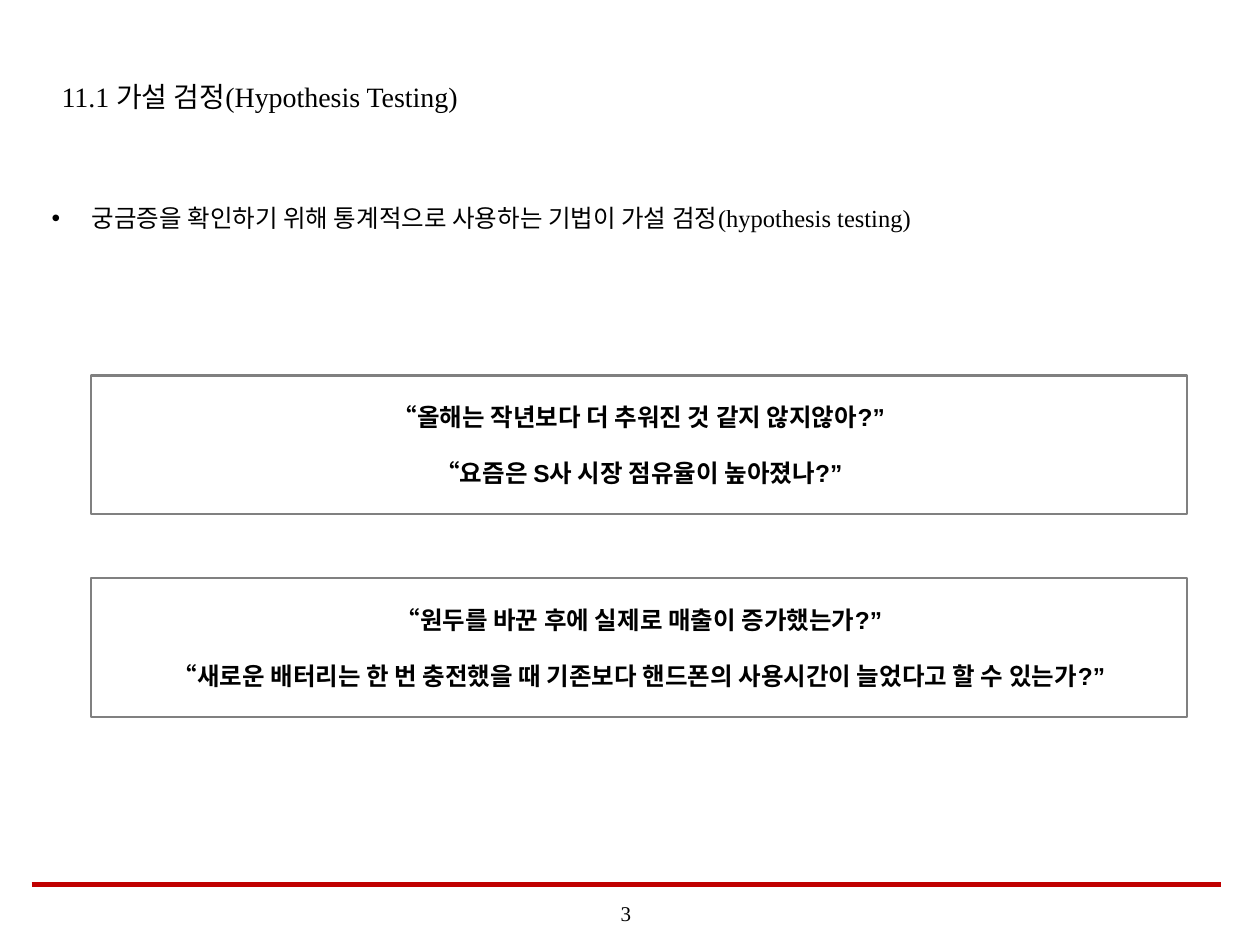
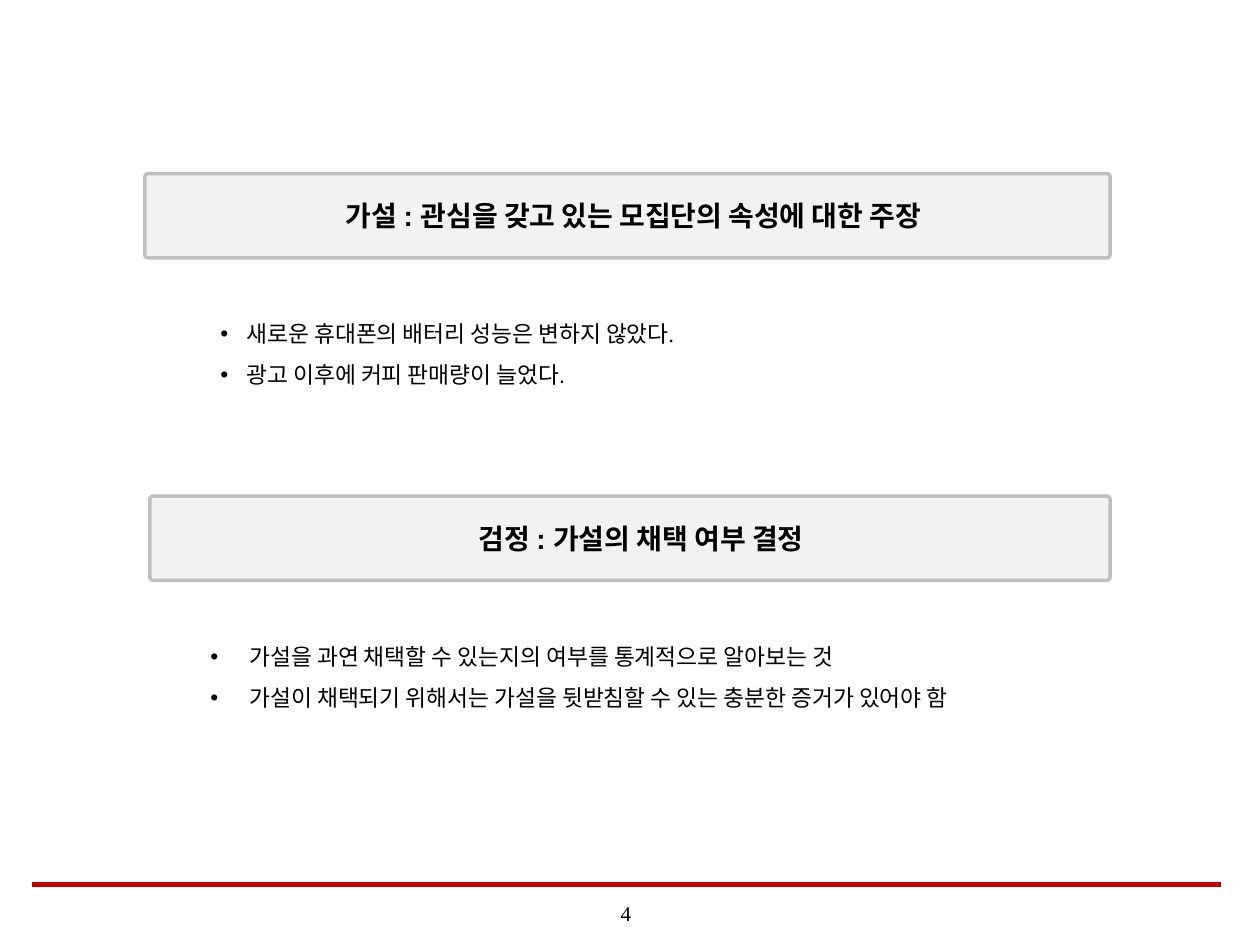
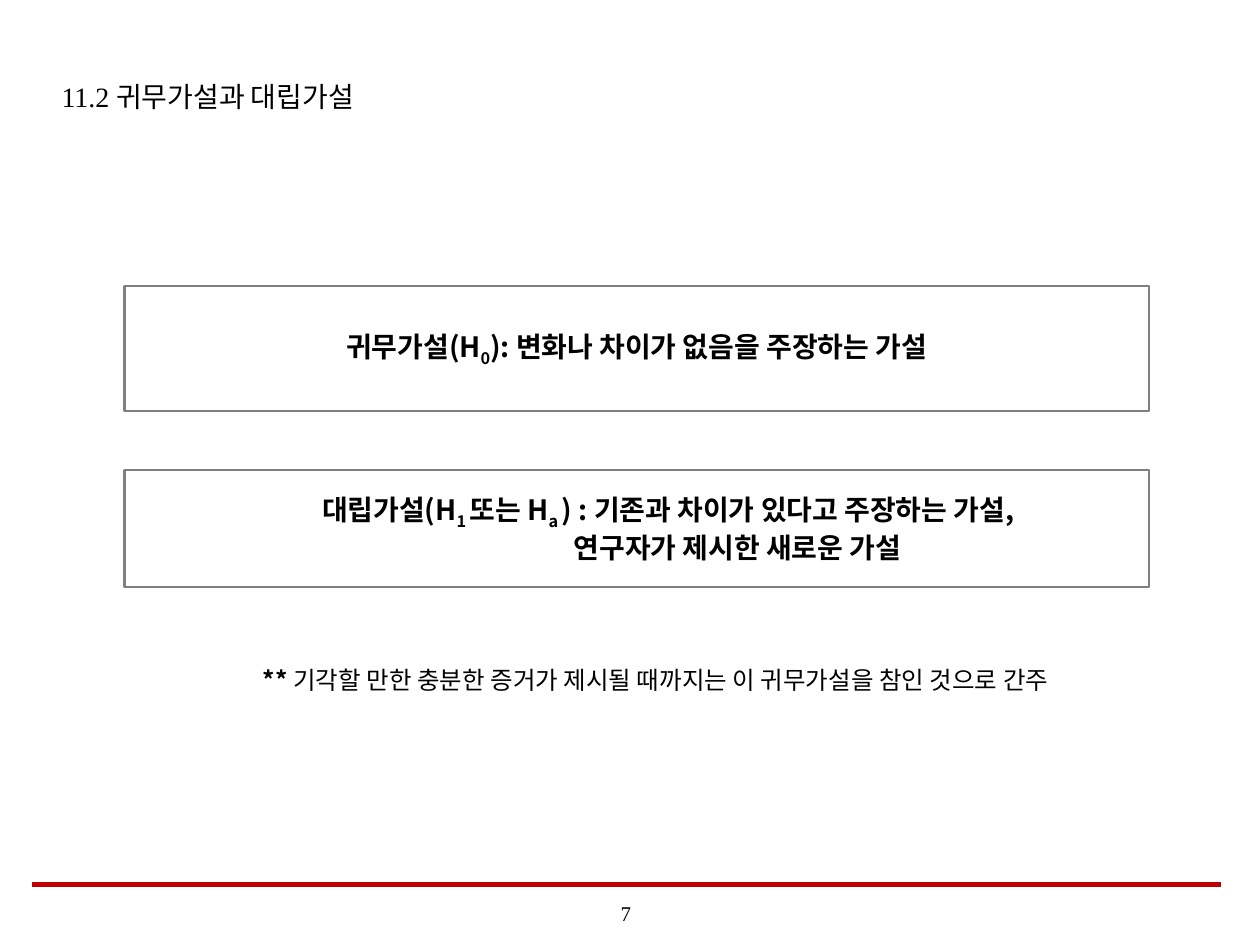
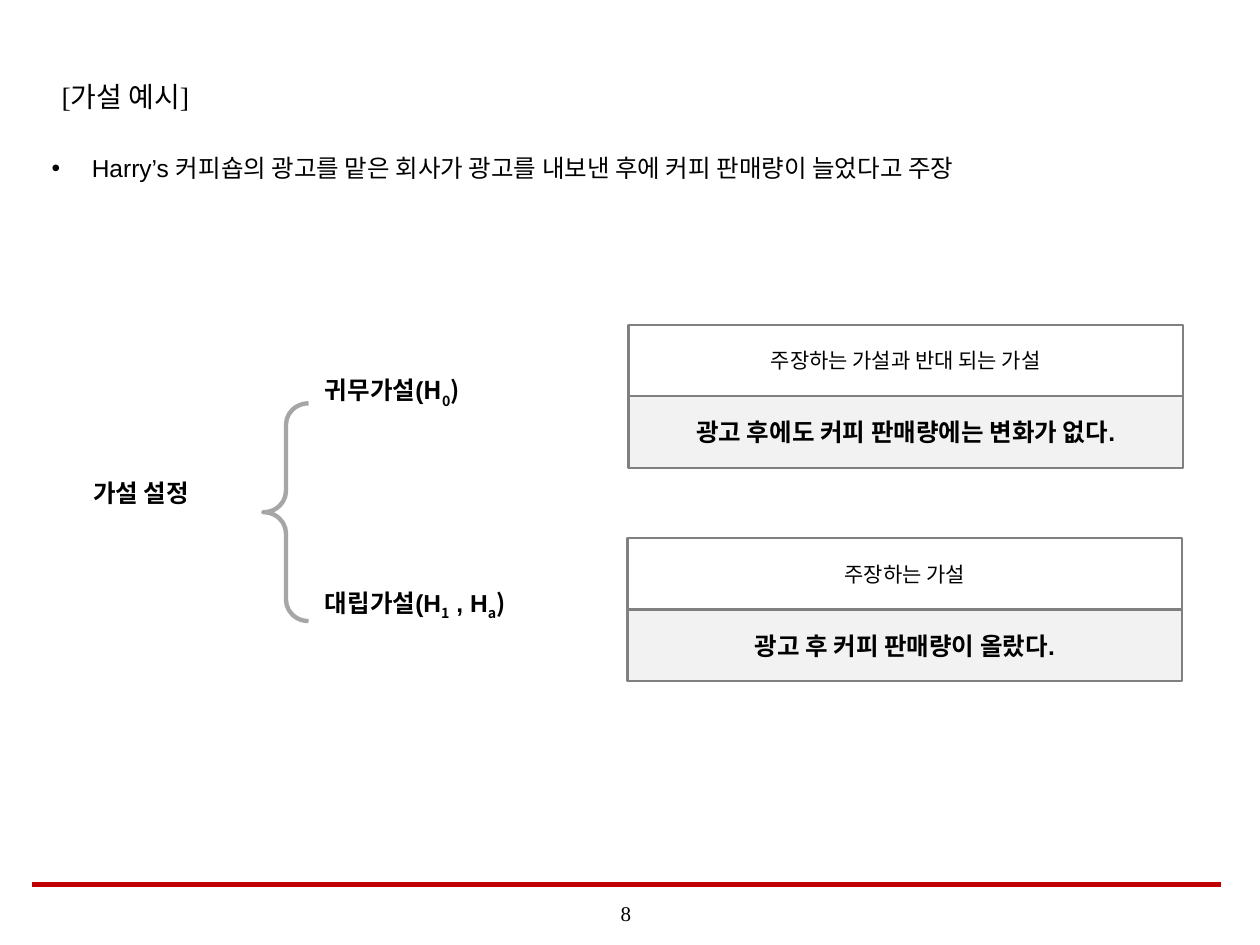
from dataclasses import dataclass
from typing import Optional, Sequence, Union

from lxml.etree import SubElement
from pptx import Presentation
from pptx.dml.color import RGBColor
from pptx.enum.shapes import MSO_CONNECTOR as Connector
from pptx.enum.shapes import MSO_SHAPE as Shape
from pptx.enum.text import MSO_ANCHOR as Anchor
from pptx.enum.text import MSO_AUTO_SIZE as AutoSize
from pptx.enum.text import PP_ALIGN as Align
from pptx.oxml.ns import qn
from pptx.util import Cm, Pt

ARIAL, TIMES, NOTO = "Arial", "Times New Roman", "Noto Sans CJK KR"
BLACK, WHITE, RED = "000000", "FFFFFF", "C00000"
PALE, SILVER, BRACE_GRAY, BORDER = "F2F2F2", "BFBFBF", "A6A6A6", "808080"
TITLE_AND_BODY, TITLE_ONLY = 1, 5


@dataclass(frozen=True)
class Area:
    left: float
    top: float
    width: float
    height: float

    def lengths(self) -> tuple:
        return Cm(self.left), Cm(self.top), Cm(self.width), Cm(self.height)


@dataclass(frozen=True)
class Run:
    text: str
    font: Optional[str] = None
    bold: Optional[bool] = None
    sub: bool = False


@dataclass(frozen=True)
class Line:
    runs: Sequence[Union[str, Run]]
    indent: float = 0


@dataclass(frozen=True)
class Card:
    area: Area
    lines: Sequence[Union[str, Line]]
    size: float = 14
    font: str = ARIAL
    bold: bool = True
    fill: str = WHITE
    border: str = BORDER
    weight: float = 1.25
    kind: Shape = Shape.RECTANGLE
    gap: float = 0


TITLE_AREA = Area(0.99, 1.24, 19.18, 1.27)
NUMBER_AREA = Area(9.98, 17.98, 5.28, 0.84)


def paint(color_format, color: str) -> None:
    color_format.rgb = RGBColor.from_string(color)


def write_text(frame, lines: Sequence[Union[str, Line]], *, size: float,
               font: str = ARIAL, bold: bool = False, align: Align = Align.LEFT,
               anchor: Anchor = Anchor.TOP, spacing: float = 1, gap: float = 0,
               hang: float = 0, indent: float = 0,
               margins: tuple = (0.25, 0.13)) -> None:
    frame.word_wrap = True
    frame.auto_size = AutoSize.NONE
    frame.vertical_anchor = anchor
    frame.margin_left = frame.margin_right = Cm(margins[0])
    frame.margin_top = frame.margin_bottom = Cm(margins[1])
    for index, entry in enumerate(lines):
        line = Line([entry]) if isinstance(entry, str) else entry
        paragraph = frame.add_paragraph() if index else frame.paragraphs[0]
        paragraph.alignment = align
        paragraph.line_spacing = spacing
        paragraph.space_before = Pt(gap if index else 0)
        properties = paragraph._p.get_or_add_pPr()
        properties.set("marL", str(Cm(indent + line.indent + hang)))
        properties.set("indent", str(Cm(-hang)))
        if hang:
            SubElement(properties, qn("a:buFont"), typeface=ARIAL)
            SubElement(properties, qn("a:buChar"), char="•")
        for part in line.runs:
            piece = Run(part) if isinstance(part, str) else part
            run = paragraph.add_run()
            run.text = piece.text
            run.font.size = Pt(size)
            run.font.name = piece.font or font
            run.font.bold = bold if piece.bold is None else piece.bold
            paint(run.font.color, BLACK)
            if piece.sub:
                run._r.get_or_add_rPr().set("baseline", "-25000")


def place(placeholder, area: Area) -> None:
    (placeholder.left, placeholder.top,
     placeholder.width, placeholder.height) = area.lengths()


def add_label(slide, area: Area, lines: Sequence, **text_format) -> None:
    label = slide.shapes.add_textbox(*area.lengths())
    write_text(label.text_frame, lines, **text_format)


def add_card(slide, card: Card) -> None:
    shape = slide.shapes.add_shape(card.kind, *card.area.lengths())
    shape.shadow.inherit = False
    shape.fill.solid()
    paint(shape.fill.fore_color, card.fill)
    paint(shape.line.color, card.border)
    shape.line.width = Pt(card.weight)
    if card.kind == Shape.ROUNDED_RECTANGLE:
        shape.adjustments[0] = 0.04
    write_text(shape.text_frame, card.lines, size=card.size, font=card.font,
               bold=card.bold, align=Align.CENTER, anchor=Anchor.MIDDLE,
               gap=card.gap)


def add_brace(slide, area: Area) -> None:
    brace = slide.shapes.add_shape(Shape.RIGHT_BRACE, *area.lengths())
    brace.shadow.inherit = False
    brace.rotation = 180
    brace.adjustments[0] = 0.47
    brace.fill.background()
    paint(brace.line.color, BRACE_GRAY)
    brace.line.width = Pt(2.5)


def add_list(slide, area: Area, lines: Sequence, **text_format) -> None:
    body = slide.placeholders[1]
    place(body, area)
    write_text(body.text_frame, lines, **text_format)


def start_slide(deck, number: int, title: str = "", layout: int = TITLE_AND_BODY):
    slide = deck.slides.add_slide(deck.slide_layouts[layout])
    heading = slide.shapes.title
    if title:
        place(heading, TITLE_AREA)
        write_text(heading.text_frame, [title], size=16, font=TIMES,
                   anchor=Anchor.MIDDLE, spacing=1.2)
    else:
        heading._element.getparent().remove(heading._element)
    add_label(slide, NUMBER_AREA, [str(number)], size=12, font=TIMES,
              align=Align.CENTER, anchor=Anchor.MIDDLE, margins=(0, 0))
    rule = slide.shapes.add_connector(
        Connector.STRAIGHT, Cm(0.64), Cm(17.83), Cm(24.61), Cm(17.83))
    paint(rule.line.color, RED)
    rule.line.width = Pt(3)
    SubElement(rule._element.spPr, qn("a:effectLst"))
    return slide


def build_testing(deck) -> None:
    slide = start_slide(deck, 3, "11.1 가설 검정(Hypothesis Testing)")
    add_list(slide, Area(0.79, 3.84, 23.85, 1.5),
             ["궁금증을 확인하기 위해 통계적으로 사용하는 기법이 가설 검정(hypothesis testing)"],
             size=14, font=TIMES, spacing=1.2, hang=0.81)
    questions = [
        ["“올해는 작년보다 더 추워진 것 같지 않지않아?”",
         "“요즘은 S사 시장 점유율이 높아졌나?”"],
        ["“원두를 바꾼 후에 실제로 매출이 증가했는가?”",
         "“새로운 배터리는 한 번 충전했을 때 기존보다 핸드폰의 사용시간이 늘었다고 할 수 있는가?”"],
    ]
    for row, pair in enumerate(questions):
        add_card(slide, Card(Area(1.83, 7.57 + row * 4.09, 22.1, 2.8), pair, gap=15))


def build_definitions(deck) -> None:
    slide = start_slide(deck, 4)
    add_list(slide, Area(2.84, 5.84, 13.26, 2.11),
             ["새로운 휴대폰의 배터리 성능은 변하지 않았다.",
              Line([Run("광고 이후에 커피 판매량이 늘었다.", font=ARIAL)])],
             size=13, font=TIMES, spacing=1.5, hang=0.53, indent=1.35,
             margins=(0.25, 0.33))
    terms = [
        (Area(2.92, 3.5, 19.46, 1.7),
         Line(["가설 : 관심을 갖고 있는 모집단의 속성에 대한 주장"], indent=0.25)),
        (Area(3.02, 10, 19.36, 1.7),
         Line(["검정 : 가설의 채택 여부 결정"], indent=0.45)),
    ]
    for area, term in terms:
        add_card(slide, Card(area, [term], size=16, fill=PALE, border=SILVER,
                             weight=2, kind=Shape.ROUNDED_RECTANGLE))
    add_label(slide, Area(3.99, 12.55, 17.32, 1.83),
              ["가설을 과연 채택할 수 있는지의 여부를 통계적으로 알아보는 것",
               "가설이 채택되기 위해서는 가설을 뒷받침할 수 있는 충분한 증거가 있어야 함"],
              size=13, spacing=1.5, hang=0.79)


def build_hypotheses(deck) -> None:
    slide = start_slide(deck, 7, "11.2 귀무가설과 대립가설", TITLE_ONLY)
    null = Line(["귀무가설(H", Run("0", sub=True), "): 변화나 차이가 없음을 주장하는 가설"])
    alternative = [
        Line(["대립가설(H", Run("1 ", sub=True), "또는 H", Run("a ", sub=True),
              ") : 기존과 차이가 있다고 주장하는 가설,"], indent=1.27),
        Line(["연구자가 제시한 새로운 가설"], indent=4.06),
    ]
    add_card(slide, Card(Area(2.51, 5.77, 20.65, 2.51), [null], size=16, font=NOTO))
    add_card(slide, Card(Area(2.51, 9.47, 20.65, 2.36), alternative, size=16, font=NOTO))
    add_label(slide, Area(5.05, 13.28, 18.34, 0.86),
              [Line([Run("** ", bold=True),
                     "기각할 만한 충분한 증거가 제시될 때까지는 이 귀무가설을 참인 것으로 간주"])],
              size=14, font=NOTO)


def build_example(deck) -> None:
    slide = start_slide(deck, 8, "[가설 예시]")
    add_list(slide, Area(0.79, 2.84, 23.22, 1.85),
             ["Harry’s 커피숍의 광고를 맡은 회사가 광고를 내보낸 후에 커피 판매량이 늘었다고 주장"],
             size=14, spacing=1.2, hang=0.81)
    labels = [
        (Area(1.63, 9.5, 3.3, 1.35), ["가설 설정"]),
        (Area(6.3, 7.44, 4.24, 1.35),
         ["귀무가설(", Run("H", NOTO), Run("0", NOTO, sub=True), Run(")", NOTO)]),
        (Area(6.3, 11.73, 5.54, 1.35),
         ["대립가설(H", Run("1", NOTO, sub=True), " , H",
          Run("a", NOTO, sub=True), Run(")", NOTO)]),
    ]
    for area, runs in labels:
        add_label(slide, area, [Line(runs)], size=14, bold=True)
    add_brace(slide, Area(5.31, 8.13, 0.91, 4.39))
    claims = [
        (12.67, 6.55, "주장하는 가설과 반대 되는 가설", "광고 후에도 커피 판매량에는 변화가 없다."),
        (12.65, 10.85, "주장하는 가설", "광고 후 커피 판매량이 올랐다."),
    ]
    row_height = 1.44
    for left, top, role, claim in claims:
        add_card(slide, Card(Area(left, top + row_height, 11.18, row_height),
                             [claim], fill=PALE))
        add_card(slide, Card(Area(left, top, 11.18, row_height), [role],
                             size=12, bold=False))


def main() -> None:
    deck = Presentation()
    deck.slide_width, deck.slide_height = Cm(25.4), Cm(19.05)
    for build in (build_testing, build_definitions, build_hypotheses, build_example):
        build(deck)
    deck.save("out.pptx")


if __name__ == "__main__":
    main()
